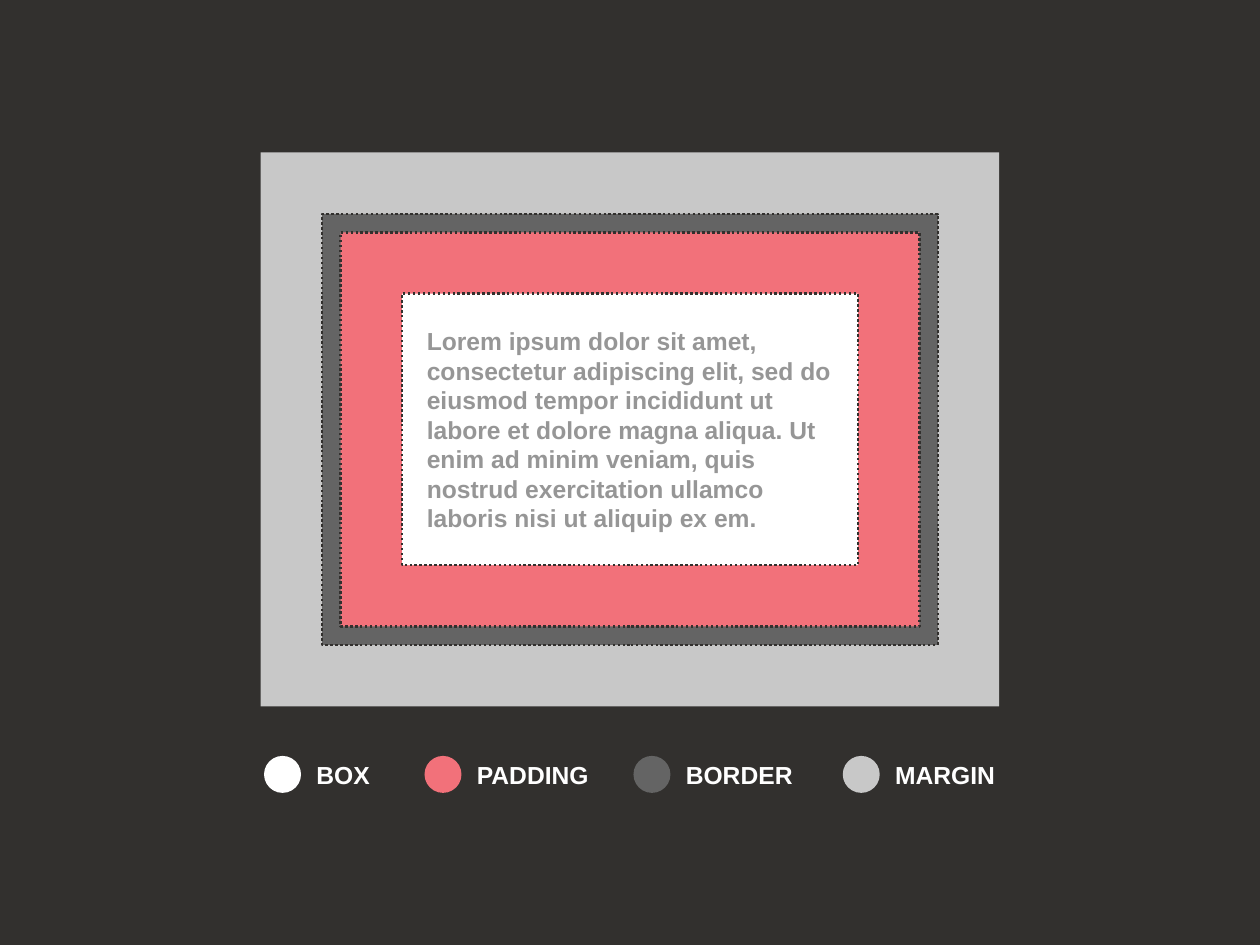
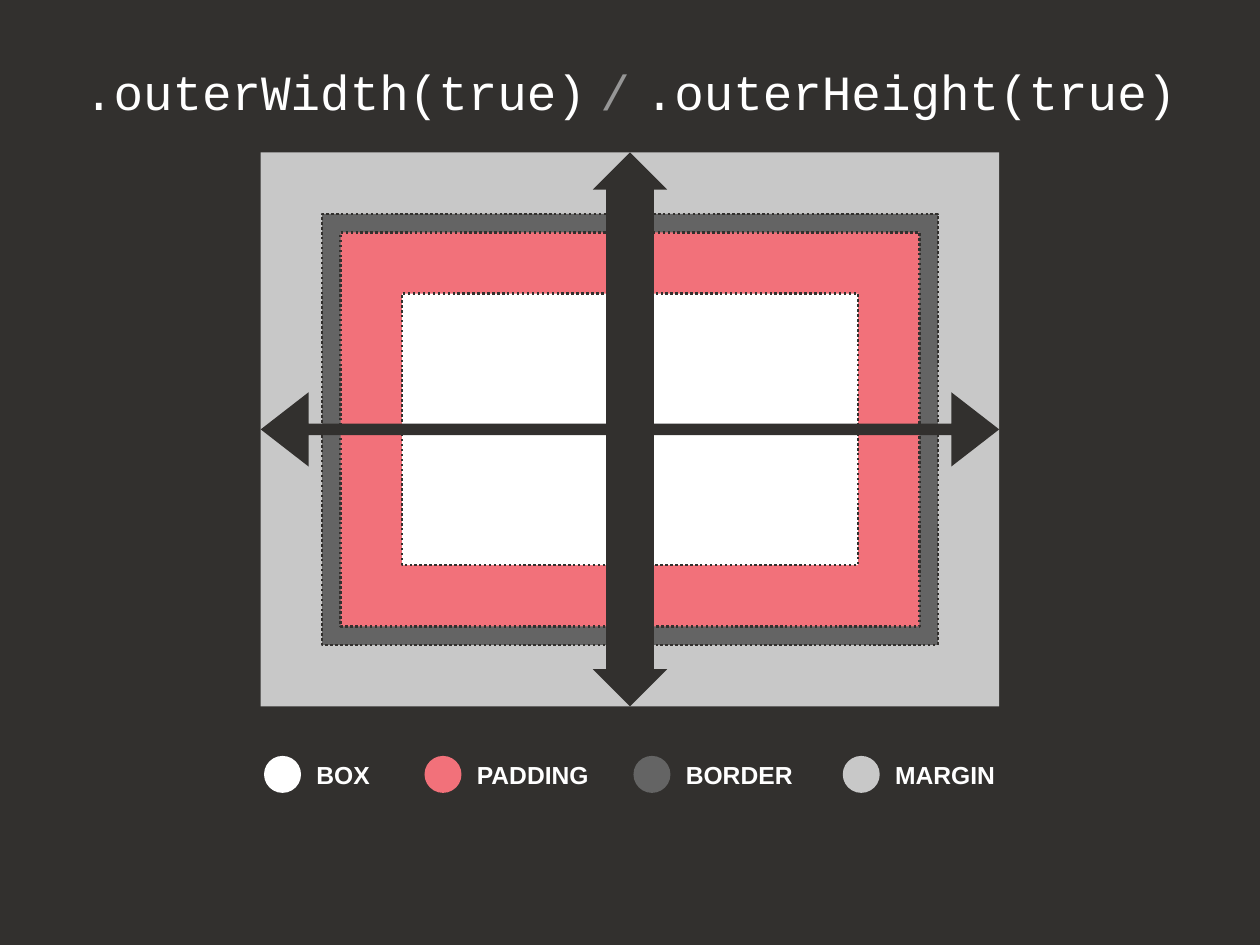
from dataclasses import dataclass

from pptx import Presentation
from pptx import util as u
from pptx.dml.color import RGBColor
from pptx.enum import dml, shapes, text


@dataclass(frozen=True)
class Theme:
    dark: str = "32302E"
    white: str = "FFFFFF"
    coral: str = "F2717A"
    border: str = "646464"
    margin: str = "C8C8C8"
    muted: str = "969696"
    sans: str = "Arial"
    mono: str = "Courier New"
    body_size: int = 20
    title_size: int = 40
    outline: int = 2


THEME = Theme()

# Content
LOREM = ("Lorem ipsum dolor sit amet, consectetur adipiscing elit, sed do eiusmod "
         "tempor incididunt ut labore et dolore magna aliqua. Ut enim ad minim veniam, "
         "quis nostrud exercitation ullamco laboris nisi ut aliquip ex em.")
TITLE = [  # text, size, colour
    (".outerWidth(true)", THEME.title_size, THEME.white),
    (" ", THEME.body_size, THEME.white),
    ("/", THEME.title_size, THEME.muted),
    (" ", THEME.body_size, THEME.white),
    (".outerHeight(true)", THEME.title_size, THEME.white),
]
LAYERS = [  # colour, inset from the layer outside it in cm, dotted outline
    (THEME.margin, 0, False),
    (THEME.border, 1.76, True),
    (THEME.coral, 0.53, True),
    (THEME.white, 1.76, True),
]
LEGEND = [  # label, colour, left of dot, label width in cm
    ("BOX", THEME.white, 7.57, 1.75),
    ("PADDING", THEME.coral, 12.17, 3.53),
    ("BORDER", THEME.border, 18.16, 3.53),
    ("MARGIN", THEME.margin, 24.16, 2.9),
]

# Geometry in cm
SLIDE_W, SLIDE_H = 36.12, 27.09
MODEL_W, MODEL_H = 21.17, 15.88
CENTER_X, CENTER_Y = SLIDE_W / 2, 12.31
LEGEND_TOP, DOT, LABEL_OFFSET = 21.67, 1.06, 1.5
TITLE_TOP, TITLE_H = 1.75, 2.13
TEXT_INSET = 0.71
ARROW_SPAN, ARROW_SHAFT, ARROW_HEAD = 2.13, 0.155, 0.645


def add_filled(slide, kind, left, top, width, height, color):
    shape = slide.shapes.add_shape(
        kind, u.Cm(left), u.Cm(top), u.Cm(width), u.Cm(height))
    shape.shadow.inherit = False
    shape.fill.solid()
    shape.fill.fore_color.rgb = RGBColor.from_string(color)
    shape.line.fill.background()
    return shape


def set_frame(frame, inset, anchor):
    frame.word_wrap = True
    frame.auto_size = text.MSO_AUTO_SIZE.NONE
    frame.vertical_anchor = anchor
    frame.margin_left = frame.margin_right = u.Cm(inset)
    frame.margin_top = frame.margin_bottom = u.Cm(inset)


def write_bold(shape, words, color, inset=0):
    set_frame(shape.text_frame, inset, text.MSO_ANCHOR.MIDDLE)
    para = shape.text_frame.paragraphs[0]
    para.text = words
    para.alignment = text.PP_ALIGN.LEFT
    para.font.name = THEME.sans
    para.font.size = u.Pt(THEME.body_size)
    para.font.bold = True
    para.font.color.rgb = RGBColor.from_string(color)


def add_centered(slide, kind, width, height, color):
    return add_filled(slide, kind, CENTER_X - width / 2, CENTER_Y - height / 2,
                      width, height, color)


def add_box_model(slide):
    """Draw the nested layers and return the innermost box."""
    width, height = MODEL_W, MODEL_H
    for color, inset, dotted in LAYERS:
        width, height = width - 2 * inset, height - 2 * inset
        box = add_centered(slide, shapes.MSO_SHAPE.RECTANGLE, width, height, color)
        if dotted:
            box.line.color.rgb = RGBColor.from_string(THEME.dark)
            box.line.width = u.Pt(THEME.outline)
            box.line.dash_style = dml.MSO_LINE.ROUND_DOT
    return box


def add_legend(slide):
    for label, color, left, width in LEGEND:
        add_filled(slide, shapes.MSO_SHAPE.OVAL, left, LEGEND_TOP, DOT, DOT, color)
        label_box = slide.shapes.add_textbox(
            u.Cm(left + LABEL_OFFSET), u.Cm(LEGEND_TOP), u.Cm(width), u.Cm(DOT))
        write_bold(label_box, label, THEME.white)


def add_arrows(slide):
    arrows = [
        (shapes.MSO_SHAPE.LEFT_RIGHT_ARROW, MODEL_W, ARROW_SPAN),
        (shapes.MSO_SHAPE.UP_DOWN_ARROW, ARROW_SPAN, MODEL_H),
    ]
    for kind, width, height in arrows:
        arrow = add_centered(slide, kind, width, height, THEME.dark)
        arrow.adjustments[0] = ARROW_SHAFT
        arrow.adjustments[1] = ARROW_HEAD


def fill_title(title):
    title.left, title.top = u.Cm(0), u.Cm(TITLE_TOP)
    title.width, title.height = u.Cm(SLIDE_W), u.Cm(TITLE_H)
    set_frame(title.text_frame, 0, text.MSO_ANCHOR.TOP)
    para = title.text_frame.paragraphs[0]
    para.alignment = text.PP_ALIGN.CENTER
    para.font.name = THEME.mono
    for words, size, color in TITLE:
        span = para.add_run()
        span.text = words
        span.font.name = THEME.mono
        span.font.size = u.Pt(size)
        span.font.color.rgb = RGBColor.from_string(color)


def main():
    deck = Presentation()
    deck.slide_width, deck.slide_height = u.Cm(SLIDE_W), u.Cm(SLIDE_H)
    backdrop = deck.slide_master.background.fill
    backdrop.solid()
    backdrop.fore_color.rgb = RGBColor.from_string(THEME.dark)
    title_only, blank = deck.slide_layouts[5], deck.slide_layouts[6]

    # Box model with sample text
    page = deck.slides.add_slide(blank)
    write_bold(add_box_model(page), LOREM, THEME.muted, TEXT_INSET)
    add_legend(page)

    # Outer size, margin included
    page = deck.slides.add_slide(title_only)
    fill_title(page.shapes.title)
    add_box_model(page)
    add_legend(page)
    add_arrows(page)

    deck.save("out.pptx")


if __name__ == "__main__":
    main()
